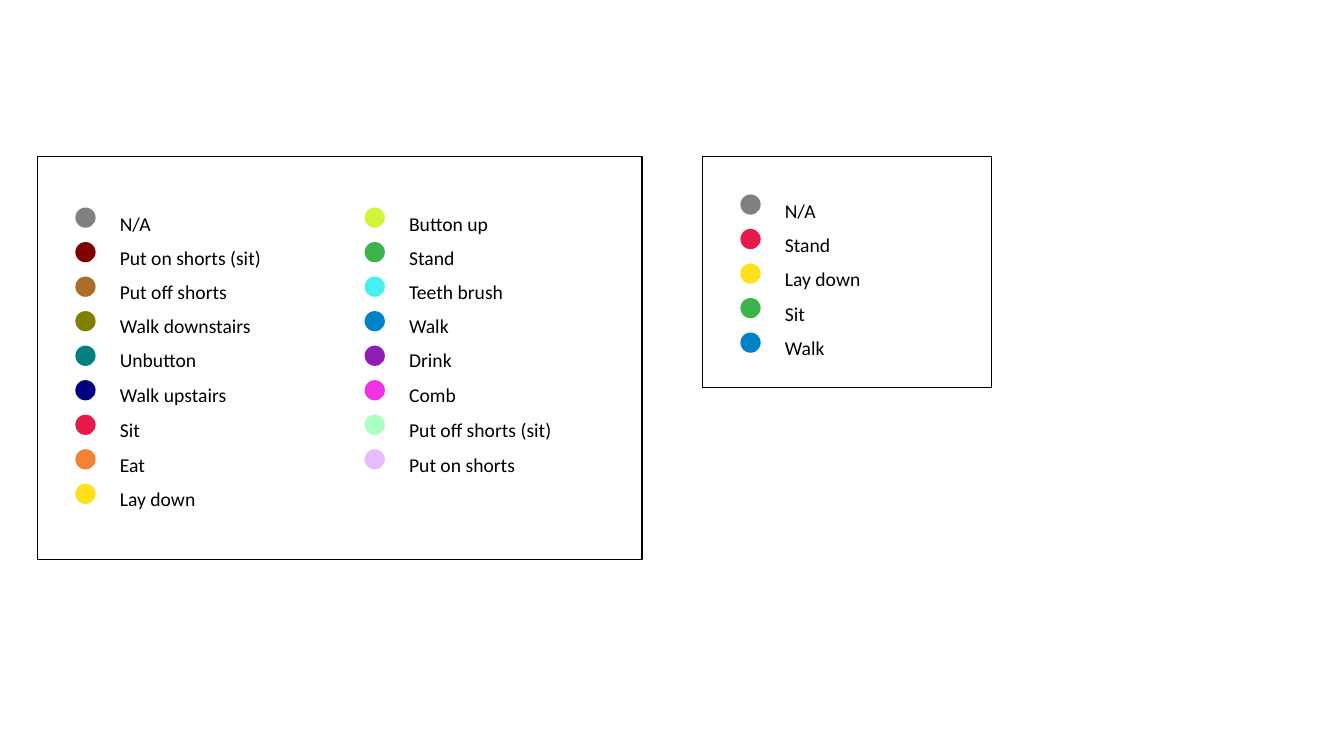
"""Build a slide with two colour legends for activity labels."""
from pptx import Presentation
from pptx.dml.color import RGBColor
from pptx.enum.shapes import MSO_SHAPE as Shape
from pptx.enum.text import MSO_AUTO_SIZE as AutoSize
from pptx.util import Cm, Pt

BLACK = RGBColor(0x00, 0x00, 0x00)
WHITE = RGBColor(0xFF, 0xFF, 0xFF)
GRAY = RGBColor(0x80, 0x80, 0x80)
MAROON = RGBColor(0x80, 0x00, 0x00)
BROWN = RGBColor(0xAA, 0x6E, 0x28)
OLIVE = RGBColor(0x80, 0x80, 0x00)
TEAL = RGBColor(0x00, 0x80, 0x80)
NAVY = RGBColor(0x00, 0x00, 0x80)
RED = RGBColor(0xE6, 0x19, 0x4B)
ORANGE = RGBColor(0xF5, 0x82, 0x30)
YELLOW = RGBColor(0xFF, 0xE1, 0x19)
LIME = RGBColor(0xD2, 0xF5, 0x3C)
GREEN = RGBColor(0x3C, 0xB4, 0x4B)
CYAN = RGBColor(0x46, 0xF0, 0xF0)
BLUE = RGBColor(0x00, 0x82, 0xC8)
PURPLE = RGBColor(0x91, 0x1E, 0xB4)
MAGENTA = RGBColor(0xF0, 0x32, 0xE6)
MINT = RGBColor(0xAA, 0xFF, 0xC3)
LAVENDER = RGBColor(0xE6, 0xBE, 0xFF)

FIRST_ACTIVITIES = [
    ("N/A", GRAY), ("Put on shorts (sit)", MAROON), ("Put off shorts", BROWN),
    ("Walk downstairs", OLIVE), ("Unbutton", TEAL), ("Walk upstairs", NAVY),
    ("Sit", RED), ("Eat", ORANGE), ("Lay down", YELLOW),
]
MORE_ACTIVITIES = [
    ("Button up", LIME), ("Stand", GREEN), ("Teeth brush", CYAN), ("Walk", BLUE),
    ("Drink", PURPLE), ("Comb", MAGENTA), ("Put off shorts (sit)", MINT),
    ("Put on shorts", LAVENDER),
]
POSTURES = [
    ("N/A", GRAY), ("Stand", RED), ("Lay down", YELLOW), ("Sit", GREEN), ("Walk", BLUE),
]
LOOSE_LABELS = {"Walk upstairs", "Sit", "Comb", "Put off shorts (sit)", "Put on shorts"}

FRAME_TOP = 3.94
LEGENDS = [
    {"left": 0.94, "width": 15.24, "height": 10.16, "first_dot": 5.23,
     "label_width": 5.46, "columns": [FIRST_ACTIVITIES, MORE_ACTIVITIES]},
    {"left": 17.7, "width": 7.29, "height": 5.82, "first_dot": 4.9,
     "label_width": 4.06, "columns": [POSTURES]},
]
DOT_INSET, DOT_SIZE = 0.96, 0.51
ROW_PITCH, COLUMN_PITCH = 0.87, 7.29
LABEL_SHIFT, LABEL_RISE = 0.87, 0.29


def add_filled(page, kind, left, top, width, height, color):
    """Add a flat preset shape without an outline."""
    shape = page.shapes.add_shape(kind, Cm(left), Cm(top), Cm(width), Cm(height))
    shape.shadow.inherit = False
    shape.fill.solid()
    shape.fill.fore_color.rgb = color
    shape.line.fill.background()
    return shape


def add_labels(page, left, top, width, labels):
    """Add one text box with a paragraph for each label."""
    box = page.shapes.add_textbox(Cm(left), Cm(top), Cm(width), Cm(ROW_PITCH * len(labels)))
    frame = box.text_frame
    frame.word_wrap = True
    frame.auto_size = AutoSize.SHAPE_TO_FIT_TEXT
    for index, label in enumerate(labels):
        para = frame.add_paragraph() if index else frame.paragraphs[0]
        para.line_spacing = Pt(25 if label in LOOSE_LABELS else 24.4)
        span = para.add_run()
        span.text = label
        span.font.name = "Calibri"
        span.font.size = Pt(14)
        span.font.color.rgb = BLACK


def add_legend(page, legend):
    """Add a framed legend with its dots and labels."""
    border = add_filled(page, Shape.RECTANGLE, legend["left"], FRAME_TOP,
                        legend["width"], legend["height"], WHITE)
    border.line.color.rgb = BLACK
    border.line.width = Pt(1)
    top = legend["first_dot"]
    for column, entries in enumerate(legend["columns"]):
        left = legend["left"] + DOT_INSET + column * COLUMN_PITCH
        for row, (_, color) in enumerate(entries):
            add_filled(page, Shape.OVAL, left, top + row * ROW_PITCH, DOT_SIZE, DOT_SIZE, color)
        add_labels(page, left + LABEL_SHIFT, top - LABEL_RISE, legend["label_width"],
                   [label for label, _ in entries])


deck = Presentation()
deck.slide_width, deck.slide_height = Cm(33.87), Cm(19.05)
page = deck.slides.add_slide(deck.slide_layouts[6])
for legend in LEGENDS:
    add_legend(page, legend)
deck.save("out.pptx")
